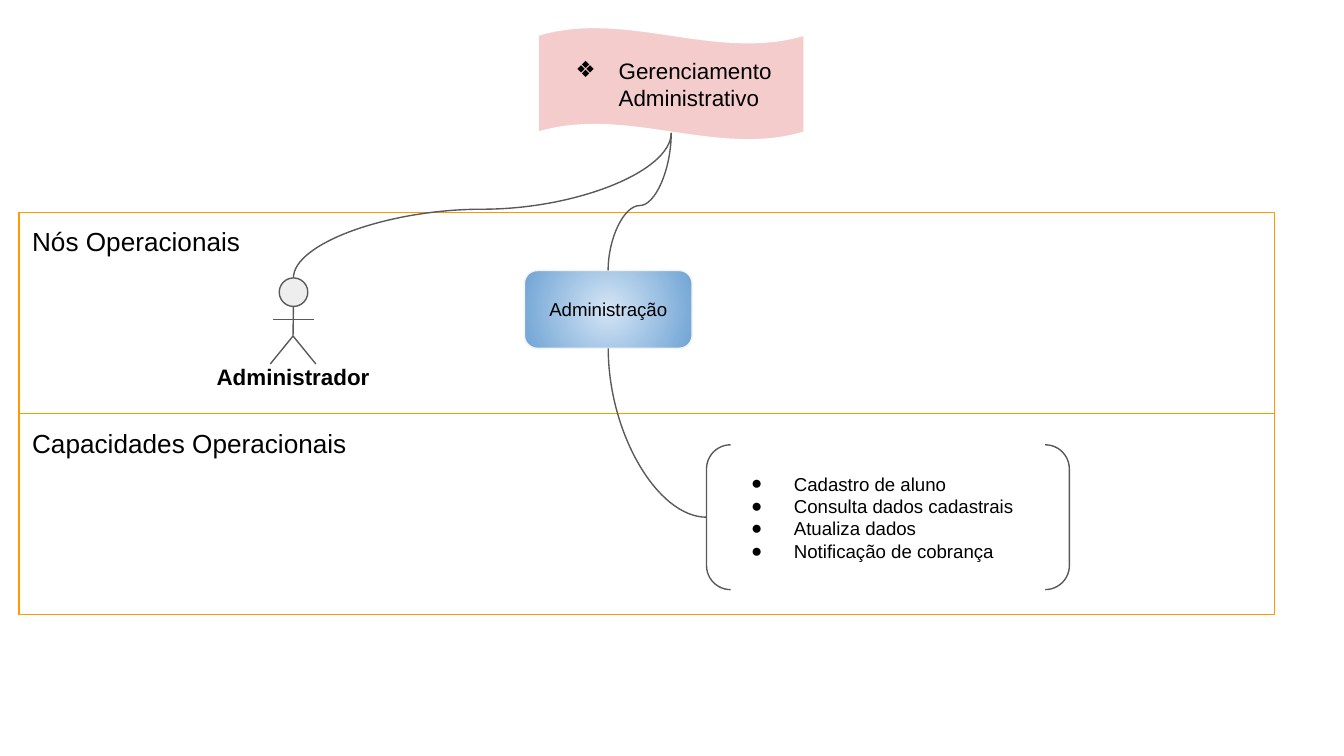
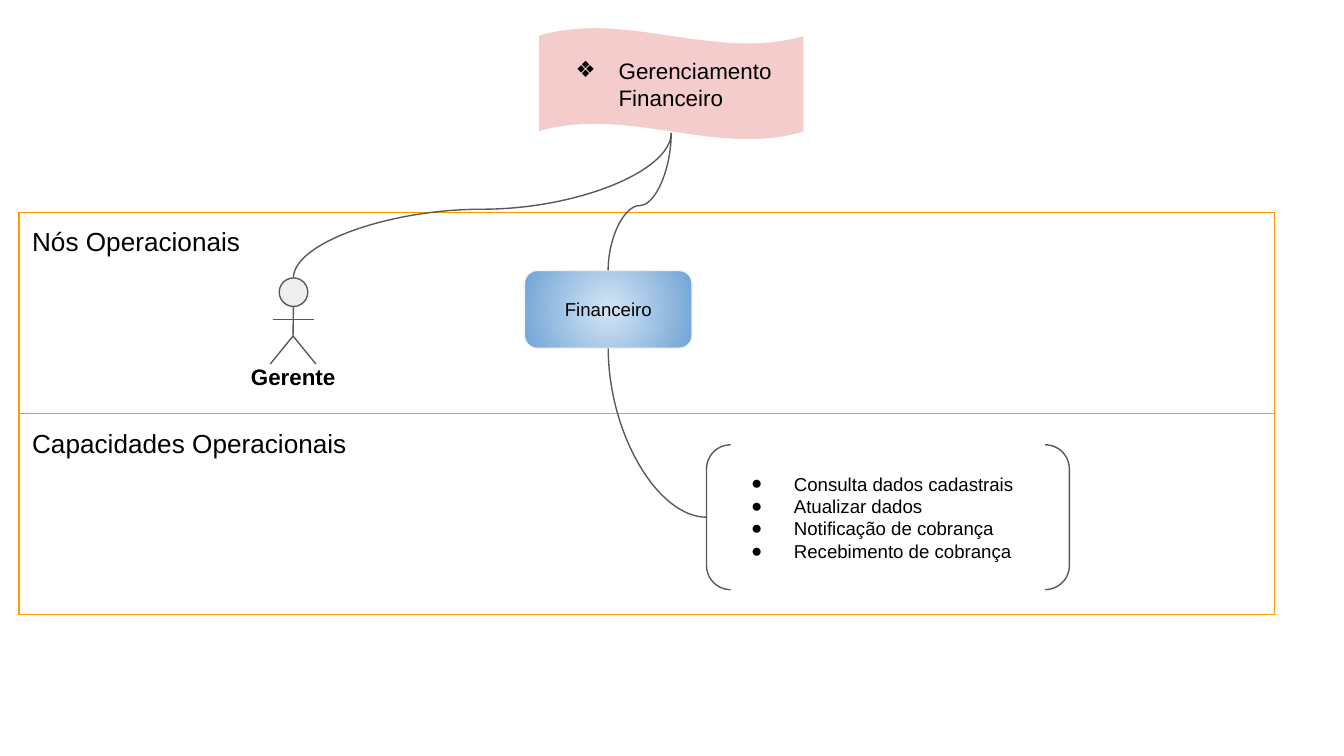
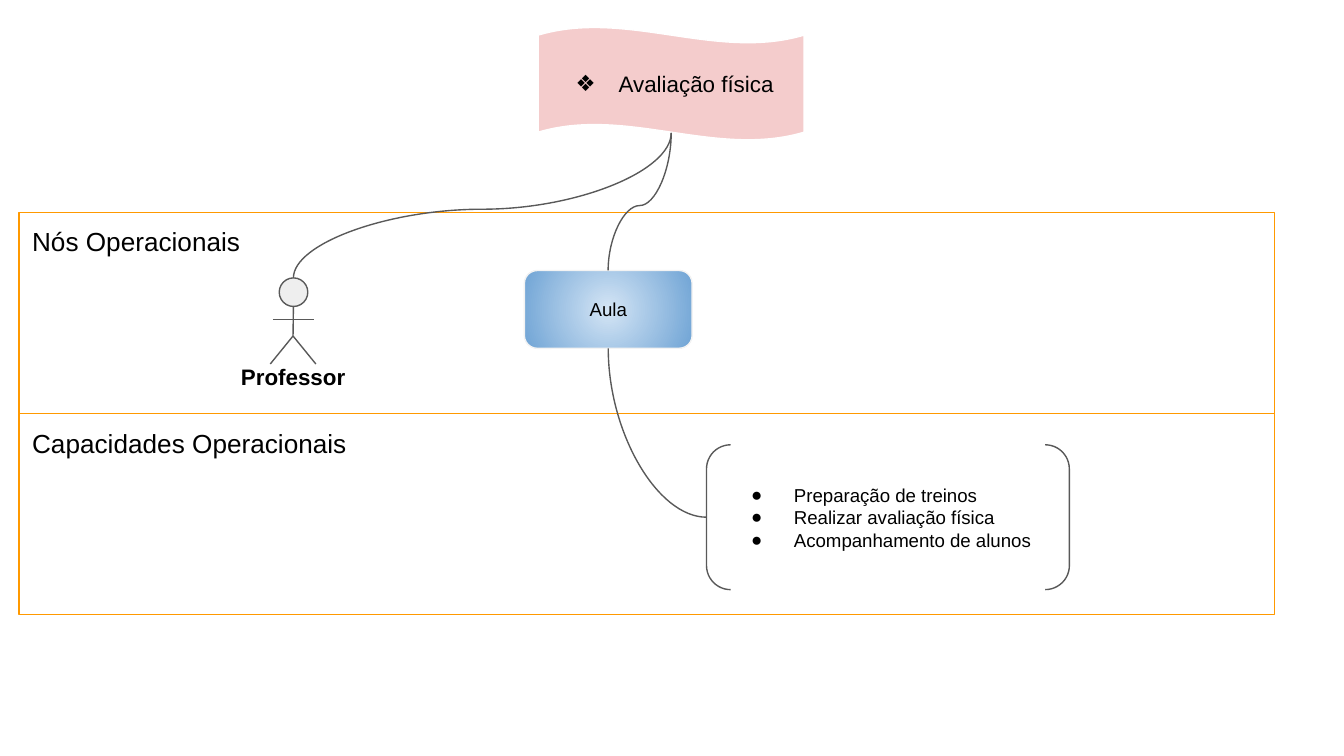
"""Build three operational-view slides linking a process, its actor, its node and its capabilities."""
import pptx
import pptx.dml.color
import pptx.enum.shapes
import pptx.enum.text
import pptx.oxml.ns
import pptx.util
from lxml import etree

Pt = pptx.util.Pt
RGBColor = pptx.dml.color.RGBColor
SHAPE = pptx.enum.shapes.MSO_SHAPE
CONNECTOR = pptx.enum.shapes.MSO_CONNECTOR
ALIGN = pptx.enum.text.PP_ALIGN
ANCHOR = pptx.enum.text.MSO_ANCHOR
qn = pptx.oxml.ns.qn

BLACK = RGBColor(0x00, 0x00, 0x00)
WHITE = RGBColor(0xFF, 0xFF, 0xFF)
ORANGE = RGBColor(0xFF, 0x99, 0x00)
PINK = RGBColor(0xF4, 0xCC, 0xCC)
DARK_GREY = RGBColor(0x59, 0x59, 0x59)
LIGHT_GREY = RGBColor(0xEE, 0xEE, 0xEE)
PALE_GREY = RGBColor(0xF3, 0xF3, 0xF3)
PALE_BLUE = RGBColor(0xD4, 0xE5, 0xF5)
BLUE = RGBColor(0x70, 0xA4, 0xD5)

FONT = "Arial"
LINE_WIDTH = 0.75
INSET = 7.2
TOP, LEFT, BOTTOM = 0, 1, 2

LANES = ["Nós Operacionais", "Capacidades Operacionais"]
LANE_LEFT, LANE_TOP, LANE_WIDTH, LANE_HEIGHT = 10.1, 113.7, 672.7, 107.8

VIEWS = [
    ("Gerenciamento Administrativo", "Administrador", "Administração",
     ["Cadastro de aluno", "Consulta dados cadastrais", "Atualiza dados", "Notificação de cobrança"]),
    ("Gerenciamento Financeiro", "Gerente", "Financeiro",
     ["Consulta dados cadastrais", "Atualizar dados", "Notificação de cobrança", "Recebimento de cobrança"]),
    ("Avaliação física", "Professor", "Aula",
     ["Preparação de treinos", "Realizar avaliação física", "Acompanhamento de alunos"]),
]


class Diagram:
    """Hold the style and the current slide, and draw each kind of element on it."""

    def __init__(self, presentation):
        self.presentation = presentation
        self.slide = None

    def start_slide(self):
        """Add a blank slide and make it current."""
        self.slide = self.presentation.slides.add_slide(self.presentation.slide_layouts[6])

    def text(self, shape, lines, size, align=ALIGN.LEFT, anchor=ANCHOR.TOP, bold=False, bullet=None):
        """Write one paragraph per line into a shape."""
        frame = shape.text_frame
        frame.word_wrap = True
        frame.vertical_anchor = anchor
        frame.margin_left = frame.margin_right = Pt(INSET)
        frame.margin_top = frame.margin_bottom = Pt(INSET)
        frame.text = "\n".join(lines)
        for paragraph in frame.paragraphs:
            paragraph.alignment = align
            if bullet:
                self.bullet(paragraph, bullet)
            font = paragraph.runs[0].font
            font.name, font.size, font.bold = FONT, Pt(size), bold
            font.color.rgb = BLACK

    def bullet(self, paragraph, character):
        """Give a paragraph a hanging black bullet."""
        properties = paragraph._p.get_or_add_pPr()
        properties.set("marL", str(Pt(36)))
        properties.set("indent", str(Pt(-23)))
        color = etree.SubElement(properties, qn("a:buClr"))
        etree.SubElement(color, qn("a:srgbClr"), val=str(BLACK))
        etree.SubElement(properties, qn("a:buFont"), typeface=FONT)
        etree.SubElement(properties, qn("a:buChar"), char=character)

    def shape(self, kind, left, top, width, height, line, fill=None, shapes=None):
        """Add a preset shape with an outline and an optional solid fill."""
        shapes = shapes or self.slide.shapes
        shape = shapes.add_shape(kind, Pt(left), Pt(top), Pt(width), Pt(height))
        shape.shadow.inherit = False
        shape.line.color.rgb = line
        shape.line.width = Pt(LINE_WIDTH)
        if fill is None:
            shape.fill.background()
        else:
            shape.fill.solid()
            shape.fill.fore_color.rgb = fill
        return shape

    def connector(self, kind, start, end, shapes=None):
        """Add a thin grey connector without shadow."""
        shapes = shapes or self.slide.shapes
        connector = shapes.add_connector(kind, *(Pt(value) for value in (*start, *end)))
        connector.line.color.rgb = DARK_GREY
        connector.line.width = Pt(LINE_WIDTH)
        etree.SubElement(connector._element.spPr, qn("a:effectLst"))
        return connector

    def curve(self, start, end, source, target, bend=None):
        """Join two (shape, site) pairs with a curve that leaves vertically."""
        connector = self.connector(CONNECTOR.CURVE, start, end)
        connector.begin_connect(*source)
        connector.end_connect(*target)
        (x1, y1), (x2, y2) = start, end
        width, height = abs(y2 - y1), abs(x2 - x1)
        properties = connector._element.spPr
        frame = properties.find(qn("a:xfrm"))
        for flip in ("flipH", "flipV"):
            frame.attrib.pop(flip, None)
        connector.left, connector.top = Pt((x1 + x2 - width) / 2), Pt((y1 + y2 - height) / 2)
        connector.width, connector.height = Pt(width), Pt(height)
        frame.set("rot", str(270 * 60000))
        if y2 > y1:
            frame.set("flipH", "1")
        geometry = properties.find(qn("a:prstGeom"))
        if bend is None:
            geometry.set("prst", "curvedConnector2")
        else:
            guides = geometry.find(qn("a:avLst"))
            etree.SubElement(guides, qn("a:gd"), name="adj1", fmla=f"val {bend}")

    def lanes(self):
        """Draw the stacked lanes."""
        for index, name in enumerate(LANES):
            lane = self.shape(SHAPE.RECTANGLE, LANE_LEFT, LANE_TOP + index * LANE_HEIGHT,
                              LANE_WIDTH, LANE_HEIGHT, ORANGE)
            self.text(lane, [name], 14)

    def banner(self, process):
        """Draw the wavy banner that names the process."""
        banner = self.shape(SHAPE.WAVE, 288.3, 14.6, 142.5, 60.5, WHITE, PINK)
        banner.adjustments[0] = 0.07
        self.text(banner, [process], 12, anchor=ANCHOR.MIDDLE, bullet="❖")
        return banner

    def actor(self, role):
        """Draw a grouped stick figure with its role, and return its head."""
        shapes = self.slide.shapes.add_group_shape().shapes
        head = self.shape(SHAPE.FLOWCHART_CONNECTOR, 149.6, 148.9, 15.3, 15.3,
                          DARK_GREY, LIGHT_GREY, shapes)
        hip = (157, 180)
        limbs = [((157.2, 164.2), hip), ((146.2, 171.2), (168.4, 171.2)),
                 (hip, (144.8, 195)), ((169.2, 195), hip)]
        for start, end in limbs:
            self.connector(CONNECTOR.STRAIGHT, start, end, shapes)
        label = shapes.add_textbox(Pt(106.3), Pt(187.2), Pt(101.5), Pt(27.4))
        self.text(label, [role], 12, ALIGN.CENTER, bold=True)
        return head

    def node(self, name):
        """Draw the operational node with a radial gradient."""
        node = self.shape(SHAPE.ROUNDED_RECTANGLE, 280.9, 144.9, 89.9, 41.7, PALE_GREY)
        node.fill.gradient()
        for stop, color in zip(node.fill.gradient_stops, (PALE_BLUE, BLUE)):
            stop.color.rgb = color
        gradient = node._element.spPr.find(qn("a:gradFill"))
        gradient.remove(gradient.find(qn("a:lin")))
        circle = etree.SubElement(gradient, qn("a:path"), path="circle")
        etree.SubElement(circle, qn("a:fillToRect"), l="50000", t="50000", r="50000", b="50000")
        self.text(node, [name], 10, ALIGN.CENTER, ANCHOR.MIDDLE)
        return node

    def capabilities(self, items):
        """Draw the bracketed list of capabilities."""
        brackets = self.shape(SHAPE.DOUBLE_BRACKET, 378.5, 238.3, 194.4, 77.6, DARK_GREY)
        self.text(brackets, items, 10, anchor=ANCHOR.MIDDLE, bullet="●")
        return brackets

    def view(self, process, role, node_name, items):
        """Draw one complete slide."""
        self.start_slide()
        self.lanes()
        banner = self.banner(process)
        head = self.actor(role)
        brackets = self.capabilities(items)
        node = self.node(node_name)
        banner_foot = (359.6, 71.2)
        self.curve((325.8, 144.9), banner_foot, (node, TOP), (banner, BOTTOM), 47200)
        self.curve((157.2, 148.9), banner_foot, (head, TOP), (banner, BOTTOM), 47400)
        self.curve((325.8, 186.6), (378.5, 277.1), (node, BOTTOM), (brackets, LEFT))


def main():
    """Build and save the presentation."""
    presentation = pptx.Presentation()
    presentation.slide_width, presentation.slide_height = Pt(720), Pt(405)
    diagram = Diagram(presentation)
    for view in VIEWS:
        diagram.view(*view)
    presentation.save("out.pptx")


if __name__ == "__main__":
    main()
